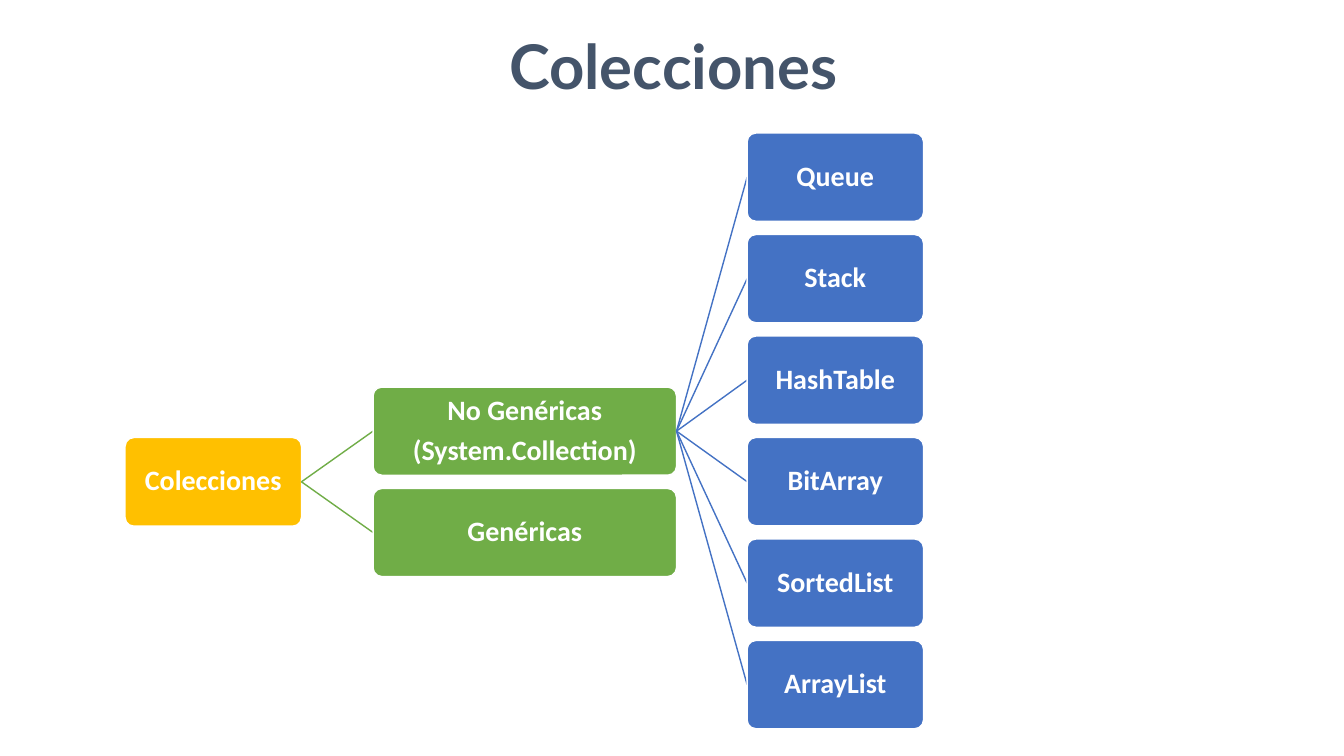
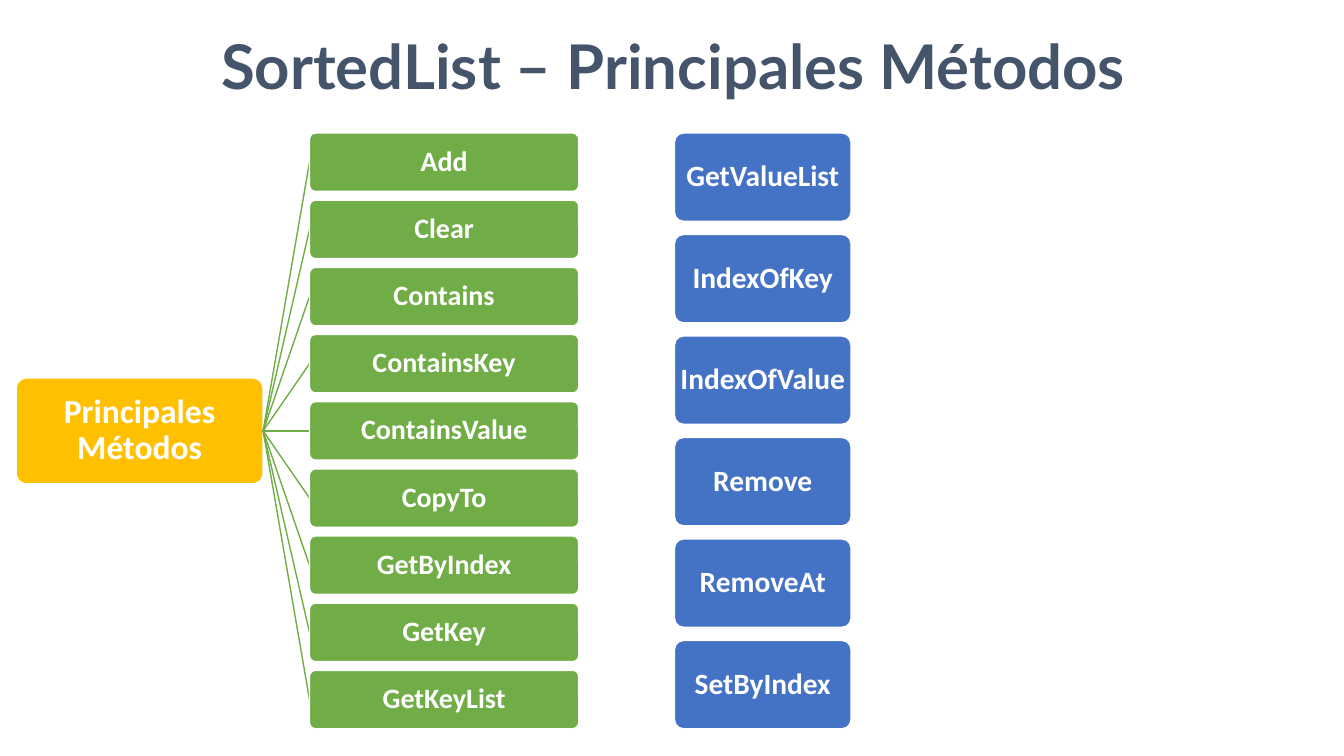
from dataclasses import dataclass

from lxml import etree
from pptx import Presentation
from pptx import util as u
from pptx.dml.color import RGBColor
from pptx.enum import shapes, text
from pptx.oxml import ns


@dataclass(frozen=True)
class Theme:
    """Colours, fonts, type sizes and spacing of the deck."""
    title: str = "44546A"
    root: str = "FFC000"
    branch: str = "70AD47"
    leaf: str = "4472C4"
    white: str = "FFFFFF"
    head: str = "Lato"
    body: str = "Calibri"
    big: int = 44
    large: int = 24
    mid: int = 21
    small: int = 20
    line: int = 1
    round: float = 0.1
    gap: float = 0.15
    after: float = 0.35
    top: float = 1.32
    foot: float = 7.23


def apply(item, **vals):
    """Set each given attribute on an item."""
    for name, val in vals.items():
        setattr(item, name, val)


class Deck:
    """Holds the style and the current slide."""

    def __init__(self, theme):
        """Start a wide, empty presentation."""
        self.theme = theme
        self.show = Presentation()
        apply(self.show, slide_width=u.Inches(13.33), slide_height=u.Inches(7.5))

    def label(self, frame, lines, font, size, hue, pad, **form):
        """Fill a frame with centred bold paragraphs."""
        side, edge = map(u.Inches, pad)
        apply(frame, word_wrap=True, margin_left=side, margin_right=side,
              margin_top=edge, margin_bottom=edge, **form)
        for i, words in enumerate(lines):
            para = frame.add_paragraph() if i else frame.paragraphs[0]
            run = para.add_run()
            run.text = words
            para.alignment = text.PP_ALIGN.CENTER
            apply(run.font, name=font, size=u.Pt(size), bold=True)
            run.font.color.rgb = RGBColor.from_string(hue)
            if i:
                para.space_before = u.Pt(size * self.theme.after)
        return frame.paragraphs

    def slide(self, title):
        """Add a blank slide with its title."""
        look = self.theme
        self.page = self.show.slides.add_slide(self.show.slide_layouts[6])
        box = self.page.shapes.add_textbox(*map(u.Inches, (0.13, 0.26, 13.1, 0.79)))
        self.label(box.text_frame, [title], look.head, look.big, look.title,
                   (0.05, 0.02), auto_size=text.MSO_AUTO_SIZE.SHAPE_TO_FIT_TEXT)

    def box(self, place, words, hue, size):
        """Draw one rounded box with its label."""
        look = self.theme
        box = self.page.shapes.add_shape(
            shapes.MSO_SHAPE.ROUNDED_RECTANGLE, *map(u.Inches, place))
        box.adjustments[0] = look.round
        box.shadow.inherit = False
        box.fill.solid()
        box.fill.fore_color.rgb = RGBColor.from_string(hue)
        box.line.color.rgb = RGBColor.from_string(look.white)
        box.line.width = u.Pt(look.line)
        paras = self.label(box.text_frame, words.split("\n"), look.body, size,
                           look.white, (0.01, 0.01),
                           vertical_anchor=text.MSO_ANCHOR.MIDDLE)
        for para in paras:
            para.line_spacing = 0.9
        return box

    def column(self, left, width, names, hue, size, top=None, foot=None):
        """Stack boxes evenly between a top and a foot."""
        look = self.theme
        top, foot = top or look.top, foot or look.foot
        count = len(names)
        high = (foot - top) / (count + look.gap * (count - 1))
        step = high * (1 + look.gap)
        return [self.box((left, top + i * step, width, high), name, hue, size)
                for i, name in enumerate(names)]

    def fan(self, start, ends, hue):
        """Link the right side of a box to the left of others."""
        for end in ends:
            link = self.page.shapes.add_connector(
                shapes.MSO_CONNECTOR.STRAIGHT, 0, 0, 0, 0)
            link.begin_connect(start, 3)
            link.end_connect(end, 1)
            link.line.color.rgb = RGBColor.from_string(hue)
            link.line.width = u.Pt(self.theme.line)
            etree.SubElement(link._element.spPr, ns.qn("a:effectLst"))
            end._element.addprevious(link._element)


def main():
    """Build and save both slides."""
    look = Theme()
    deck = Deck(look)

    deck.slide("Colecciones")
    root, = deck.column(1.24, 1.75, ["Colecciones"], look.root, look.small, 4.34, 5.22)
    kinds = deck.column(3.7, 3.01, ["No Genéricas\n(System.Collection)", "Genéricas"],
                        look.branch, look.small, 3.84, 5.72)
    types = deck.column(7.41, 1.75, ["Queue", "Stack", "HashTable", "BitArray",
                                     "SortedList", "ArrayList"], look.leaf, look.small)
    deck.fan(root, kinds, look.branch)
    deck.fan(kinds[0], types, look.leaf)

    deck.slide("SortedList – Principales Métodos")
    root, = deck.column(0.16, 2.45, ["Principales Métodos"], look.root, look.large,
                        3.75, 4.8)
    calls = deck.column(3.07, 2.67, ["Add", "Clear", "Contains", "ContainsKey",
                                     "ContainsValue", "CopyTo", "GetByIndex",
                                     "GetKey", "GetKeyList"], look.branch, look.small)
    deck.fan(root, calls, look.branch)
    deck.column(6.69, 1.75, ["GetValueList", "IndexOfKey", "IndexOfValue", "Remove",
                             "RemoveAt", "SetByIndex"], look.leaf, look.mid)

    deck.show.save("out.pptx")


if __name__ == "__main__":
    main()
